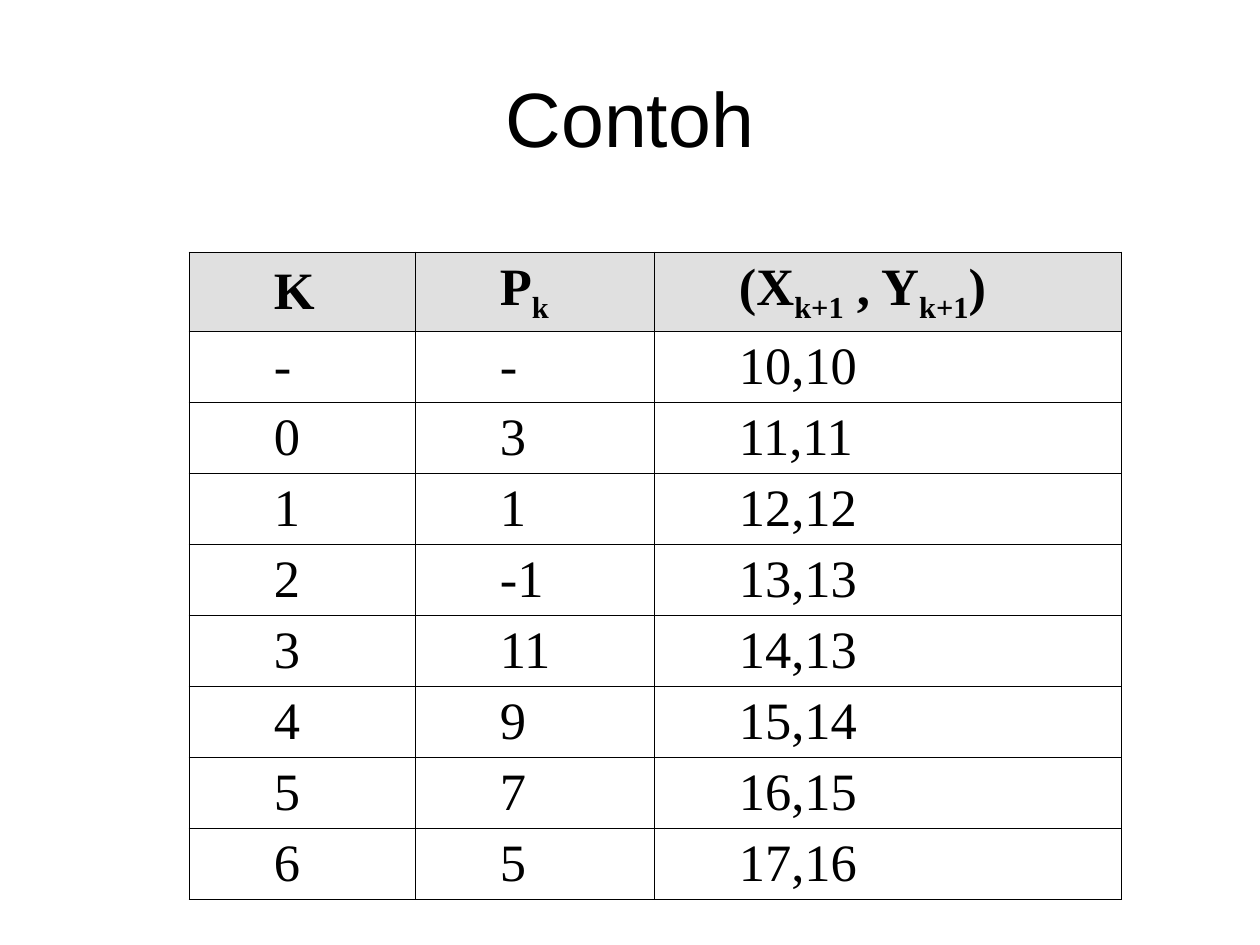
"""Build a slide with a table of decision parameters and plotted points."""
from dataclasses import dataclass

from pptx import Presentation
from pptx.dml.color import RGBColor
from pptx.enum.text import MSO_ANCHOR, PP_ALIGN
from pptx.oxml import parse_xml
from pptx.oxml.ns import nsdecls
from pptx.util import Pt

MIDDLE = MSO_ANCHOR.MIDDLE
CENTER, JUSTIFY = PP_ALIGN.CENTER, PP_ALIGN.JUSTIFY
EMU_PER_PX = 914400 / 126
COLORS = {"text": "000000", "header": "E0E0E0", "border": "000000"}
BORDER_EMU = 5715
INDENT = 63


@dataclass(frozen=True)
class Piece:
    text: str
    baseline: int = 0


@dataclass(frozen=True)
class Column:
    heading: tuple[Piece, ...]
    width: int
    values: tuple[str, ...]


SUB_NEXT = Piece("k+1", -25000)
COLUMNS = (
    Column((Piece("K"),), 226, ("-", "0", "1", "2", "3", "4", "5", "6")),
    Column((Piece("P"), Piece("k", -25000)), 239,
           ("-", "3", "1", "-1", "11", "9", "7", "5")),
    Column((Piece("(X"), SUB_NEXT, Piece(" , Y"), SUB_NEXT, Piece(")")), 467,
           ("10,10", "11,11", "12,12", "13,13", "14,13", "15,14", "16,15", "17,16")),
)
HEADER_HEIGHT, ROW_HEIGHT = 72, 63
TITLE_FORMAT = {"name": "Arial", "size": Pt(44)}
HEADING_FORMAT = {"name": "Times New Roman", "size": Pt(30), "bold": True}
VALUE_FORMAT = {**HEADING_FORMAT, "bold": False}


def px(length: int) -> int:
    return round(length * EMU_PER_PX)


def set_attributes(target, values: dict) -> None:
    for name, value in values.items():
        setattr(target, name, value)


def write_pieces(paragraph, pieces: tuple[Piece, ...], font_format: dict) -> None:
    for piece in pieces:
        run = paragraph.add_run()
        run.text = piece.text
        set_attributes(run.font, font_format)
        run.font.color.rgb = RGBColor.from_string(COLORS["text"])
        if piece.baseline:
            run.font._element.set("baseline", str(piece.baseline))


def add_borders(cell) -> None:
    properties = cell._tc.get_or_add_tcPr()
    for position, side in enumerate(("lnL", "lnR", "lnT", "lnB")):
        properties.insert(position, parse_xml(
            f'<a:{side} {nsdecls("a")} w="{BORDER_EMU}"><a:solidFill>'
            f'<a:srgbClr val="{COLORS["border"]}"/></a:solidFill></a:{side}>'))


def write_cell(cell, pieces: tuple[Piece, ...], font_format: dict) -> None:
    set_attributes(cell, {
        "vertical_anchor": MIDDLE, "margin_left": px(22), "margin_right": px(22),
        "margin_top": px(4), "margin_bottom": px(4)})
    paragraph = cell.text_frame.paragraphs[0]
    paragraph.alignment = JUSTIFY
    properties = paragraph._p.get_or_add_pPr()
    properties.set("marL", str(px(INDENT)))
    properties.set("indent", "0")
    write_pieces(paragraph, pieces, font_format)
    add_borders(cell)


def add_title(slide, text: str) -> None:
    frame = slide.shapes.add_textbox(px(63), px(38), px(1134), px(158)).text_frame
    set_attributes(frame, {"word_wrap": True, "vertical_anchor": MIDDLE})
    frame.paragraphs[0].alignment = CENTER
    write_pieces(frame.paragraphs[0], (Piece(text),), TITLE_FORMAT)


def add_points_table(slide, columns: tuple[Column, ...]) -> None:
    value_count = len(columns[0].values)
    width = sum(column.width for column in columns)
    height = HEADER_HEIGHT + value_count * ROW_HEIGHT
    table = slide.shapes.add_table(
        value_count + 1, len(columns), px(189), px(252), px(width), px(height)).table
    set_attributes(table, {"horz_banding": False})
    for index, row in enumerate(table.rows):
        row.height = px(ROW_HEIGHT if index else HEADER_HEIGHT)
    for column_index, column in enumerate(columns):
        table.columns[column_index].width = px(column.width)
        heading = table.cell(0, column_index)
        heading.fill.solid()
        heading.fill.fore_color.rgb = RGBColor.from_string(COLORS["header"])
        write_cell(heading, column.heading, HEADING_FORMAT)
        for row_index, value in enumerate(column.values, start=1):
            cell = table.cell(row_index, column_index)
            cell.fill.background()
            write_cell(cell, (Piece(value),), VALUE_FORMAT)


def main() -> None:
    presentation = Presentation()
    set_attributes(presentation, {"slide_width": px(1260), "slide_height": px(945)})
    slide = presentation.slides.add_slide(presentation.slide_layouts[6])
    add_title(slide, "Contoh")
    add_points_table(slide, COLUMNS)
    presentation.save("out.pptx")


if __name__ == "__main__":
    main()
